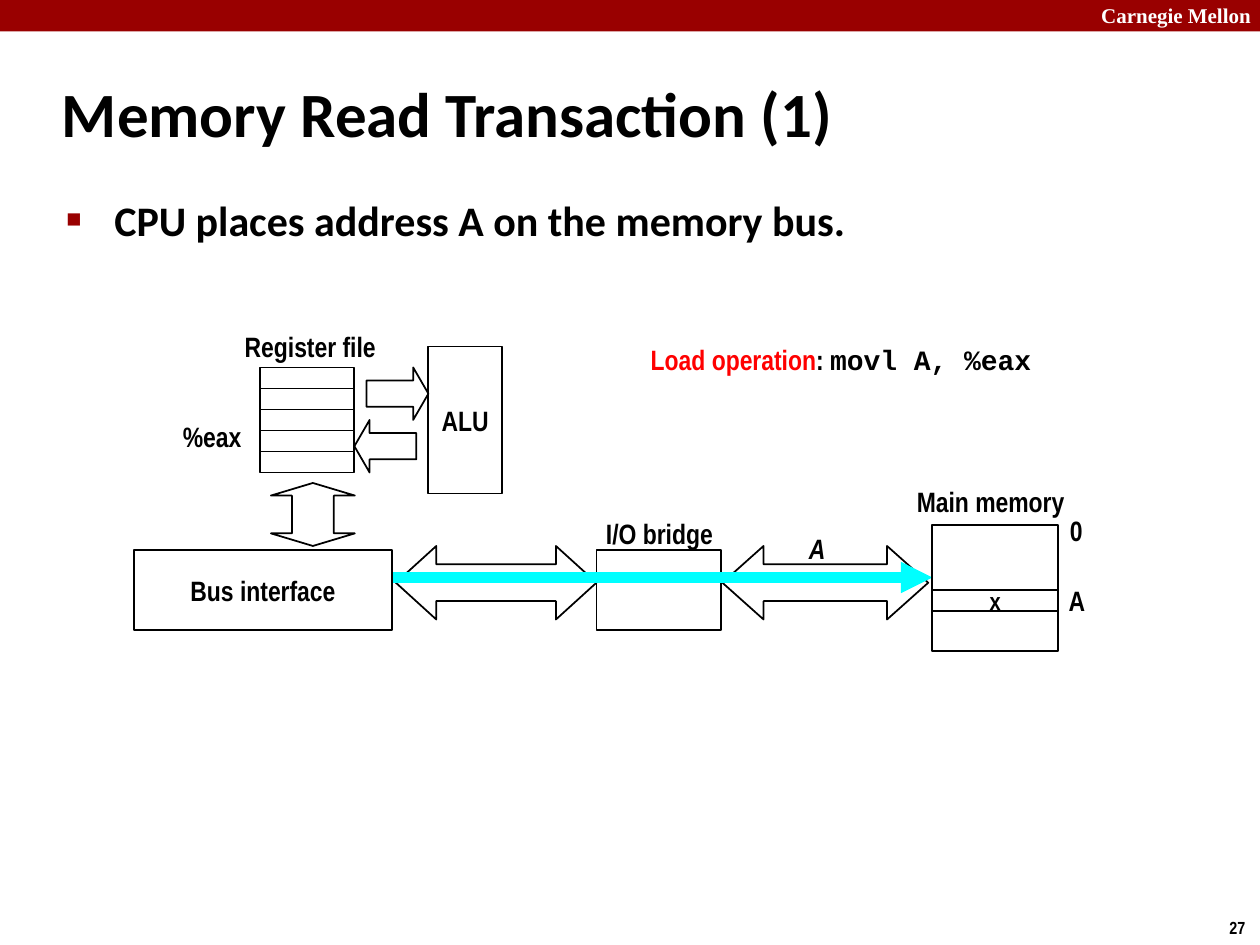
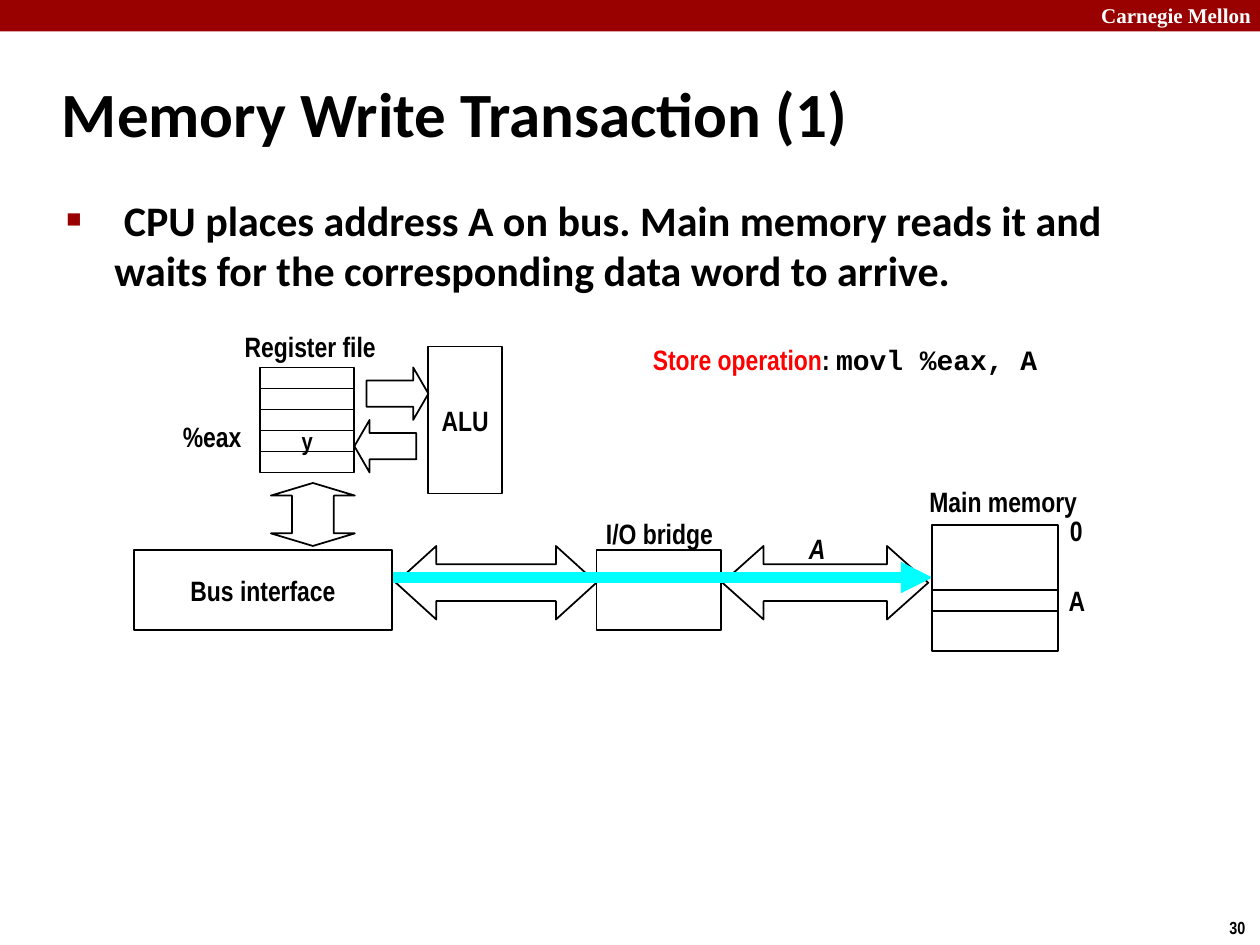
from pptx import Presentation
from pptx.dml.color import RGBColor
from pptx.enum.shapes import MSO_CONNECTOR, MSO_SHAPE
from pptx.enum.text import MSO_ANCHOR, MSO_AUTO_SIZE, PP_ALIGN
from pptx.oxml.ns import qn
from pptx.util import Inches, Pt
from lxml import etree

# Colours and fonts
BLACK = RGBColor(0x00, 0x00, 0x00)
WHITE = RGBColor(0xFF, 0xFF, 0xFF)
CRIMSON = RGBColor(0x99, 0x00, 0x00)
RED = RGBColor(0xFF, 0x00, 0x00)
CYAN = RGBColor(0x00, 0xFF, 0xFF)
HEADING_FONT = "Calibri"
LABEL_FONT = "Arial Narrow"
CODE_FONT = "Courier New"
BRAND_FONT = "Times New Roman"

# Enum members
RECTANGLE = MSO_SHAPE.RECTANGLE
RIGHT_ARROW = MSO_SHAPE.RIGHT_ARROW
LEFT_ARROW = MSO_SHAPE.LEFT_ARROW
TWO_WAY_ARROW = MSO_SHAPE.LEFT_RIGHT_ARROW
UP_DOWN_ARROW = MSO_SHAPE.UP_DOWN_ARROW
STRAIGHT = MSO_CONNECTOR.STRAIGHT
LEFT, CENTER = PP_ALIGN.LEFT, PP_ALIGN.CENTER
TOP, MIDDLE = MSO_ANCHOR.TOP, MSO_ANCHOR.MIDDLE
NO_FIT = MSO_AUTO_SIZE.NONE

# Grid: square cells, twelve to the inch
COLUMNS, ROWS = 120, 90
CELL = Inches(1) / 12
LABEL_ROWS = 4.45
TITLE_ONLY = 5


def cells(*counts):
    return [round(count * CELL) for count in counts]


def write(box, text, *, size=16, font=LABEL_FONT, color=BLACK, italic=False,
          align=LEFT, anchor=TOP, wrap=False, hang=0, bullet=None):
    """Text is a string, or a list of (text, font, color) spans."""
    frame = box.text_frame
    frame.auto_size = NO_FIT
    frame.word_wrap = wrap
    frame.vertical_anchor = anchor
    para = frame.paragraphs[0]
    para.alignment = align
    para.space_before = Pt(0)
    if hang:
        properties = para._p.get_or_add_pPr()
        properties.set("marL", str(Inches(hang)))
        properties.set("indent", str(-Inches(hang)))
        if bullet:
            tint = etree.SubElement(properties, qn("a:buClr"))
            etree.SubElement(tint, qn("a:srgbClr"), val=str(CRIMSON))
            etree.SubElement(properties, qn("a:buSzPct"), val="60000")
            etree.SubElement(properties, qn("a:buFont"), typeface="Arial")
            etree.SubElement(properties, qn("a:buChar"), char=bullet)
    spans = [(text, font, color)] if isinstance(text, str) else text
    for words, face, tone in spans:
        span = para.add_run()
        span.text = words
        span.font.name = face
        span.font.size = Pt(size)
        span.font.bold = True
        span.font.italic = italic
        span.font.color.rgb = tone


class Sketch:
    """Holds the deck style and the page being drawn."""

    def __init__(self):
        self.deck = Presentation()
        self.deck.slide_width, self.deck.slide_height = cells(COLUMNS, ROWS)
        self.page = None

    def new_page(self, title, number):
        layout = self.deck.slide_layouts[TITLE_ONLY]
        self.page = self.deck.slides.add_slide(layout)
        self.shape(RECTANGLE, 0, 0, COLUMNS, 3, fill=CRIMSON, line=None)
        self.label("Carnegie Mellon", 103.7, -0.3, 16.3, 3.6, size=12,
                   font=BRAND_FONT, color=WHITE, align=LEFT, anchor=TOP)
        self.label(number, 115.9, 86.75, 4.05, 3.2, size=10,
                   align=LEFT, anchor=TOP)
        heading = self.page.shapes.title
        heading.left, heading.top, heading.width, heading.height = cells(
            4.7, 5.7, 99.6, 10)
        write(heading, title, size=36, font=HEADING_FONT, anchor=MIDDLE,
              wrap=True, hang=0.13)

    def shape(self, kind, left, top, width, height, text=None, *, fill=None,
              line=BLACK, adjust=(), size=16):
        shape = self.page.shapes.add_shape(
            kind, *cells(left, top, width, height))
        shape.shadow.inherit = False
        for index, value in enumerate(adjust):
            shape.adjustments[index] = value
        # The library names both guides of an up-down arrow adj1
        for index, guide in enumerate(shape._element.iter(qn("a:gd")), 1):
            guide.set("name", f"adj{index}")
        if fill is None:
            shape.fill.background()
        else:
            shape.fill.solid()
            shape.fill.fore_color.rgb = fill
        if line is None:
            shape.line.fill.background()
        else:
            shape.line.color.rgb = line
            shape.line.width = Pt(1)
        if text:
            write(shape, text, size=size, align=CENTER, anchor=MIDDLE)

    def label(self, text, left, top, width, height=LABEL_ROWS, *,
              align=CENTER, anchor=MIDDLE, **style):
        box = self.page.shapes.add_textbox(*cells(left, top, width, height))
        write(box, text, align=align, anchor=anchor, **style)

    def arrow(self, start, end, color, weight):
        line = self.page.shapes.add_connector(
            STRAIGHT, *cells(*start), *cells(*end))
        line.line.color.rgb = color
        line.line.width = Pt(weight)
        etree.SubElement(line.line._get_or_add_ln(), qn("a:tailEnd"),
                         type="triangle")
        etree.SubElement(line._element.spPr, qn("a:effectLst"))


def draw_processor(sketch, register_value):
    # Register file: five stacked registers, %eax being the fourth
    for register in range(5):
        sketch.shape(RECTANGLE, 24.75, 35 + 2 * register, 9, 2,
                     register_value if register == 3 else None, size=14)
    sketch.label("Register file", 22, 30.75, 15.1)
    sketch.label("%eax", 16.2, 39.35, 8)

    # ALU and its two paths
    sketch.shape(RIGHT_ARROW, 34.9, 35, 5.9, 5, adjust=(0.5, 0.29))
    sketch.shape(LEFT_ARROW, 33.75, 40, 5.9, 5, adjust=(0.5, 0.29))
    sketch.shape(RECTANGLE, 40.8, 33, 7, 14, "ALU")
    sketch.shape(UP_DOWN_ARROW, 25.8, 46, 8, 6, adjust=(0.5, 0.2))


def draw_buses(sketch):
    sketch.shape(TWO_WAY_ARROW, 68.8, 52, 19.6, 7, adjust=(0.5, 0.56))
    sketch.shape(RECTANGLE, 56.8, 52.4, 11.9, 7.6)
    sketch.shape(TWO_WAY_ARROW, 37.7, 52, 19.1, 7, adjust=(0.5, 0.55))
    sketch.label("I/O bridge", 56.45, 48.6, 12.7)
    sketch.arrow((36.8, 55), (88.8, 55), CYAN, 6)
    sketch.shape(RECTANGLE, 12.75, 52.4, 24.6, 7.6, "Bus interface",
                 fill=WHITE)
    sketch.label("A", 75.6, 50, 4.45, italic=True)


def draw_memory(sketch, memory_value, caption_left):
    sketch.shape(RECTANGLE, 88.8, 50, 12, 12)
    sketch.shape(RECTANGLE, 88.8, 56.2, 12, 2, memory_value, size=14)
    sketch.label("Main memory", caption_left, 45.55, 16.7)
    sketch.label("0", 100.7, 48.3, 3.85, align=LEFT)
    sketch.label("A", 100.6, 54.9, 4.3, align=LEFT)


def draw_transaction(sketch, *, title, number, point, operation, command,
                     register_value=None, memory_value=None,
                     caption_left=86, command_left=60.8):
    sketch.new_page(title, number)
    sketch.label(point, 5.15, 17.9, 103.7, 65.3, size=24, font=HEADING_FONT,
                 align=LEFT, anchor=TOP, wrap=True, hang=0.38, bullet="■")
    draw_processor(sketch, register_value)
    draw_buses(sketch)
    draw_memory(sketch, memory_value, caption_left)
    sketch.label([(operation, LABEL_FONT, RED), (": ", LABEL_FONT, BLACK),
                  (command, CODE_FONT, BLACK)],
                 command_left, 32, 39.4, 7.7, align=LEFT, anchor=TOP)


def main():
    sketch = Sketch()
    draw_transaction(
        sketch, title="Memory Read Transaction (1)", number="27",
        point="CPU places address A on the memory bus.",
        operation="Load operation", command="movl A, %eax",
        memory_value="x")
    draw_transaction(
        sketch, title="Memory Write Transaction (1)", number="30",
        point=" CPU places address A on bus. Main memory reads it and "
              "waits for the corresponding data word to arrive.",
        operation="Store operation", command="movl %eax, A",
        register_value="y", caption_left=87.2, command_left=61)
    sketch.deck.save("out.pptx")


if __name__ == "__main__":
    main()
